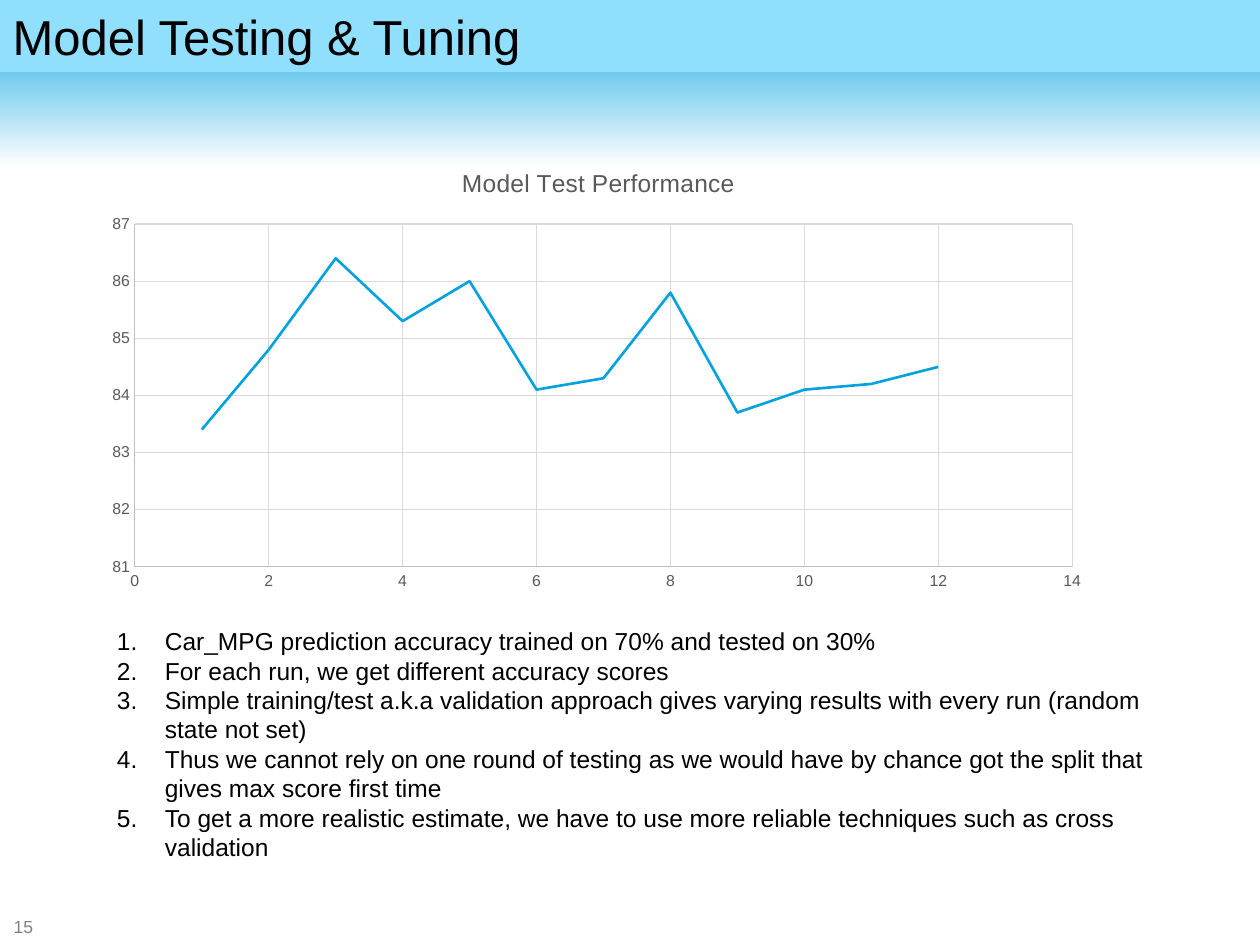
from lxml import etree
from pptx import Presentation
from pptx import util as u
from pptx.chart.data import XyChartData
from pptx.dml.color import RGBColor
from pptx.enum import chart as ch, shapes, text
from pptx.oxml import parse_xml
from pptx.oxml.ns import nsdecls, qn

HEAD = "Model Testing & Tuning"
PAGE = "15"
NAME = "Model Test Performance"
SCORES = [83.4, 84.8, 86.4, 85.3, 86, 84.1, 84.3, 85.8, 83.7, 84.1, 84.2, 84.5]
NOTES = [
    "Car_MPG prediction accuracy trained on 70% and tested on 30%",
    "For each run, we get different accuracy scores",
    "Simple training/test a.k.a validation approach gives varying results with every run (random state not set)",
    "Thus we cannot rely on one round of testing as we would have by chance got the split that gives max score first time",
    "To get a more realistic estimate, we have to use more reliable techniques such as cross validation",
]
HUES = {"blue": "03A2DF", "sky": "8FDFFD", "white": "FFFFFF", "black": "000000",
        "gray": "808080", "dark": "595959", "axis": "BFBFBF", "grid": "D9D9D9"}
PLOT = {"x": 0.04, "y": 0.17, "w": 0.93, "h": 0.76}
AXES = {"x": (0, 14, 2), "y": (81, 87, 1)}


def hue(key):
    return RGBColor.from_string(HUES[key])


def apply(thing, vals):
    for key, val in vals.items():
        setattr(thing, key, val)


def box(left, top, wide, high):
    return [u.Inches(n) for n in (left, top, wide, high)]


def style(font, size, key):
    apply(font, {"size": u.Pt(size), "name": "Arial", "bold": False})
    font.color.rgb = hue(key)


def stroke(line, key, width):
    line.color.rgb = hue(key)
    line.width = u.Pt(width)


def write(frame, lines, size, key, lead=None):
    apply(frame, {"word_wrap": True, "auto_size": text.MSO_AUTO_SIZE.NONE})
    for i, line in enumerate(lines):
        par = frame.add_paragraph() if i else frame.paragraphs[0]
        run = par.add_run()
        run.text = line
        style(run.font, size, key)
        par.alignment = text.PP_ALIGN.LEFT
        if lead:
            par.line_spacing = u.Pt(lead)


def add_band(slide):
    band = slide.shapes.add_shape(shapes.MSO_SHAPE.RECTANGLE, *box(0, 0, 10, 1.33))
    band.shadow.inherit = False
    band.line.fill.background()
    band.fill.gradient()
    band.fill.gradient_angle = 270
    for stop, key, spot in zip(band.fill.gradient_stops, ("blue", "white"), (0, 1)):
        stop.color.rgb = hue(key)
        stop.position = spot
    slide.shapes._spTree.insert(2, band._element)


def add_head(slide):
    head = slide.shapes.title
    apply(head, dict(zip(("left", "top", "width", "height"), box(0, 0, 10, 0.57))))
    head.fill.solid()
    head.fill.fore_color.rgb = hue("sky")
    write(head.text_frame, [HEAD], 28, "black")
    head.text_frame.vertical_anchor = text.MSO_ANCHOR.MIDDLE


def add_page(slide):
    frame = slide.shapes.add_textbox(*box(0.01, 7.27, 0.39, 0.16)).text_frame
    write(frame, [PAGE], 10, "gray")
    apply(frame, {"margin_top": 0, "margin_bottom": 0,
                  "vertical_anchor": text.MSO_ANCHOR.MIDDLE})


def add_graph(slide):
    data = XyChartData()
    row = data.add_series("Series 1")
    for run, score in enumerate(SCORES, 1):
        row.add_data_point(run, score)
    graph = slide.shapes.add_chart(ch.XL_CHART_TYPE.XY_SCATTER_LINES_NO_MARKERS,
                                   *box(0.75, 1.17, 8, 3.58), data).chart
    style(graph.font, 10, "black")
    apply(graph, {"has_legend": False, "has_title": True})
    title = graph.chart_title.text_frame
    title.text = NAME
    style(title.paragraphs[0].runs[0].font, 14, "dark")
    graph.plots[0].vary_by_categories = False
    line = graph.plots[0].series[0]
    line.smooth = False
    line.marker.style = ch.XL_MARKER_STYLE.NONE
    stroke(line.format.line, "blue", 1.5)
    for axis, (low, top, step) in zip((graph.category_axis, graph.value_axis), AXES.values()):
        apply(axis, {"minimum_scale": low, "maximum_scale": top, "major_unit": step,
                     "has_major_gridlines": True,
                     "major_tick_mark": ch.XL_TICK_MARK.NONE,
                     "minor_tick_mark": ch.XL_TICK_MARK.NONE})
        apply(axis.tick_labels, {"number_format": "General", "number_format_is_linked": False})
        style(axis.tick_labels.font, 9, "dark")
        stroke(axis.format.line, "axis", 0.75)
        stroke(axis.major_gridlines.format.line, "grid", 0.75)
    area = graph._chartSpace.chart.plotArea
    for old in area.findall(qn("c:layout")):
        area.remove(old)
    modes = '<c:layoutTarget val="inner"/><c:xMode val="edge"/><c:yMode val="edge"/>'
    sizes = "".join(f'<c:{key} val="{val}"/>' for key, val in PLOT.items())
    area.insert(0, parse_xml(f'<c:layout {nsdecls("c")}><c:manualLayout>{modes}{sizes}'
                             '</c:manualLayout></c:layout>'))


def add_notes(slide):
    frame = slide.shapes.add_textbox(*box(0.83, 4.92, 8.42, 2.22)).text_frame
    write(frame, NOTES, 14, "black", 16.8)
    for par in frame.paragraphs:
        props = par._p.get_or_add_pPr()
        dent = u.Inches(0.38)
        props.set("marL", str(dent))
        props.set("indent", str(-dent))
        etree.SubElement(props, qn("a:buAutoNum")).set("type", "arabicPeriod")


def main():
    deck = Presentation()
    apply(deck, {"slide_width": u.Inches(10), "slide_height": u.Inches(7.5)})
    slide = deck.slides.add_slide(deck.slide_layouts[5])
    for add in (add_band, add_head, add_page, add_graph, add_notes):
        add(slide)
    deck.save("out.pptx")


if __name__ == "__main__":
    main()
